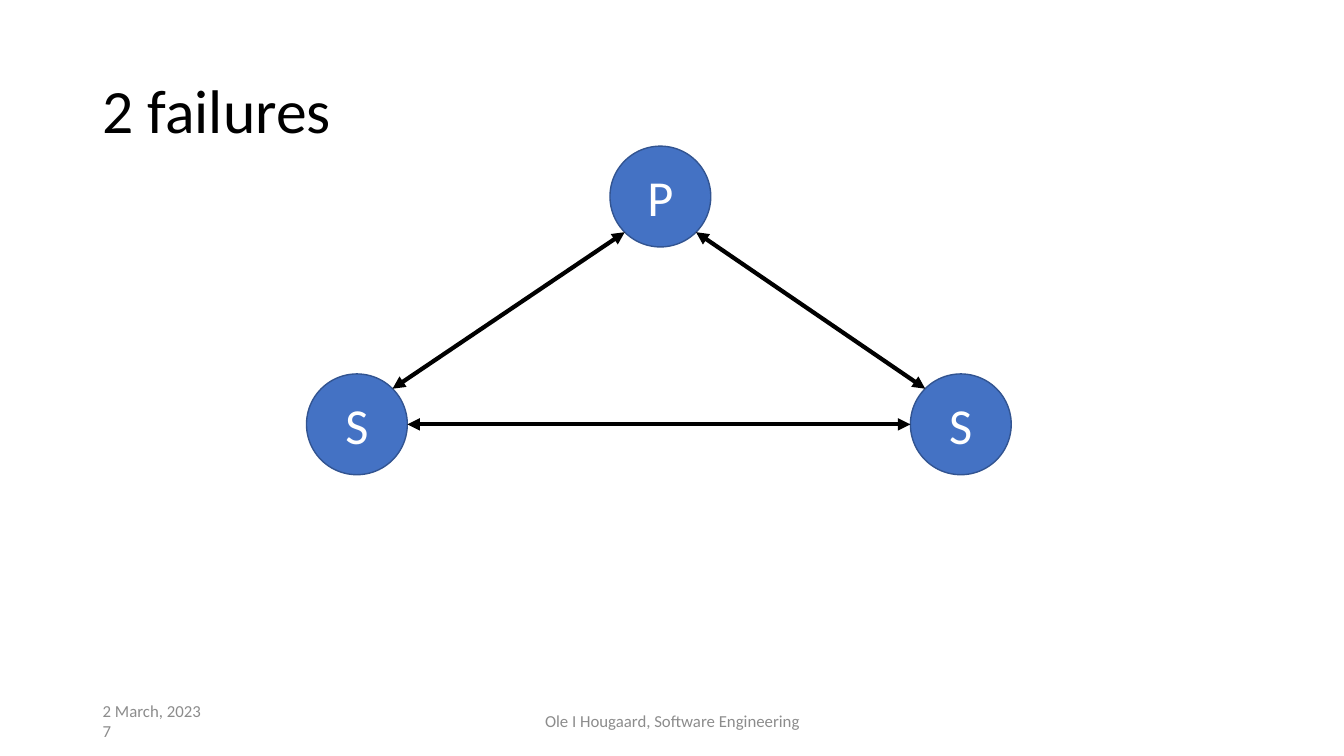
import math

import lxml.etree
import pptx
import pptx.dml.color
import pptx.enum.shapes
import pptx.enum.text
import pptx.oxml.ns
import pptx.util

Inches = pptx.util.Inches
Align = pptx.enum.text.PP_ALIGN
COLORS = {
    "text": "000000",
    "footer": "8C8C8C",
    "node": "4472C4",
    "node_line": "325491",
    "node_text": "FFFFFF",
    "arrow": "000000",
}
NODE_SIZE = 1


def color(name):
    return pptx.dml.color.RGBColor.from_string(COLORS[name])


class ClusterSlide:
    font = "Calibri"

    def __init__(self, presentation):
        self.slide = presentation.slides.add_slide(presentation.slide_layouts[6])

    def set_text(self, shape, text, size, color_name, alignment, spacing=1.0):
        frame = shape.text_frame
        frame.text = text
        frame.word_wrap = True
        frame.vertical_anchor = pptx.enum.text.MSO_ANCHOR.MIDDLE
        for paragraph in frame.paragraphs:
            paragraph.alignment = alignment
            paragraph.line_spacing = spacing
            for run in paragraph.runs:
                run.font.name = self.font
                run.font.size = pptx.util.Pt(size)
                run.font.color.rgb = color(color_name)

    def add_text(self, box, text, size, color_name, alignment=Align.LEFT, spacing=1.0):
        shape = self.slide.shapes.add_textbox(*map(Inches, box))
        self.set_text(shape, text, size, color_name, alignment, spacing)

    def add_node(self, center, label):
        left, top = (value - NODE_SIZE / 2 for value in center)
        shape = self.slide.shapes.add_shape(
            pptx.enum.shapes.MSO_SHAPE.OVAL,
            Inches(left), Inches(top), Inches(NODE_SIZE), Inches(NODE_SIZE))
        shape.shadow.inherit = False
        shape.fill.solid()
        shape.fill.fore_color.rgb = color("node")
        shape.line.color.rgb = color("node_line")
        shape.line.width = pptx.util.Pt(1)
        self.set_text(shape, label, 36, "node_text", Align.CENTER)

    def add_arrow(self, start, end):
        connector = self.slide.shapes.add_connector(
            pptx.enum.shapes.MSO_CONNECTOR.STRAIGHT, *map(Inches, (*start, *end)))
        connector.line.color.rgb = color("arrow")
        connector.line.width = pptx.util.Pt(3)
        properties = connector._element.spPr
        line = properties.find(pptx.oxml.ns.qn("a:ln"))
        for tag in ("a:headEnd", "a:tailEnd"):
            lxml.etree.SubElement(line, pptx.oxml.ns.qn(tag), type="triangle")
        lxml.etree.SubElement(properties, pptx.oxml.ns.qn("a:effectLst"))


def rim(center, degrees):
    angle = math.radians(degrees)
    return (center[0] + NODE_SIZE / 2 * math.cos(angle),
            center[1] + NODE_SIZE / 2 * math.sin(angle))


def main():
    presentation = pptx.Presentation()
    presentation.slide_width = Inches(13.33)
    presentation.slide_height = Inches(7.5)
    slide = ClusterSlide(presentation)

    slide.add_text((0.92, 0.4, 11.5, 1.45), "2 failures", 44, "text", spacing=0.9)
    slide.add_text((0.92, 6.95, 3, 0.4), "2 March, 2023\n7", 12, "footer")
    slide.add_text((4.42, 6.95, 4.5, 0.4), "Ole I Hougaard, Software Engineering",
                   12, "footer", Align.CENTER)

    primary = (6.55, 1.95)
    left_secondary = (3.54, 4.21)
    right_secondary = (9.53, 4.21)
    for center, label in ((primary, "P"), (left_secondary, "S"),
                          (right_secondary, "S")):
        slide.add_node(center, label)
    slide.add_arrow(rim(primary, 135), rim(left_secondary, -45))
    slide.add_arrow(rim(primary, 45), rim(right_secondary, -135))
    slide.add_arrow(rim(right_secondary, 180), rim(left_secondary, 0))

    presentation.save("out.pptx")


if __name__ == "__main__":
    main()
